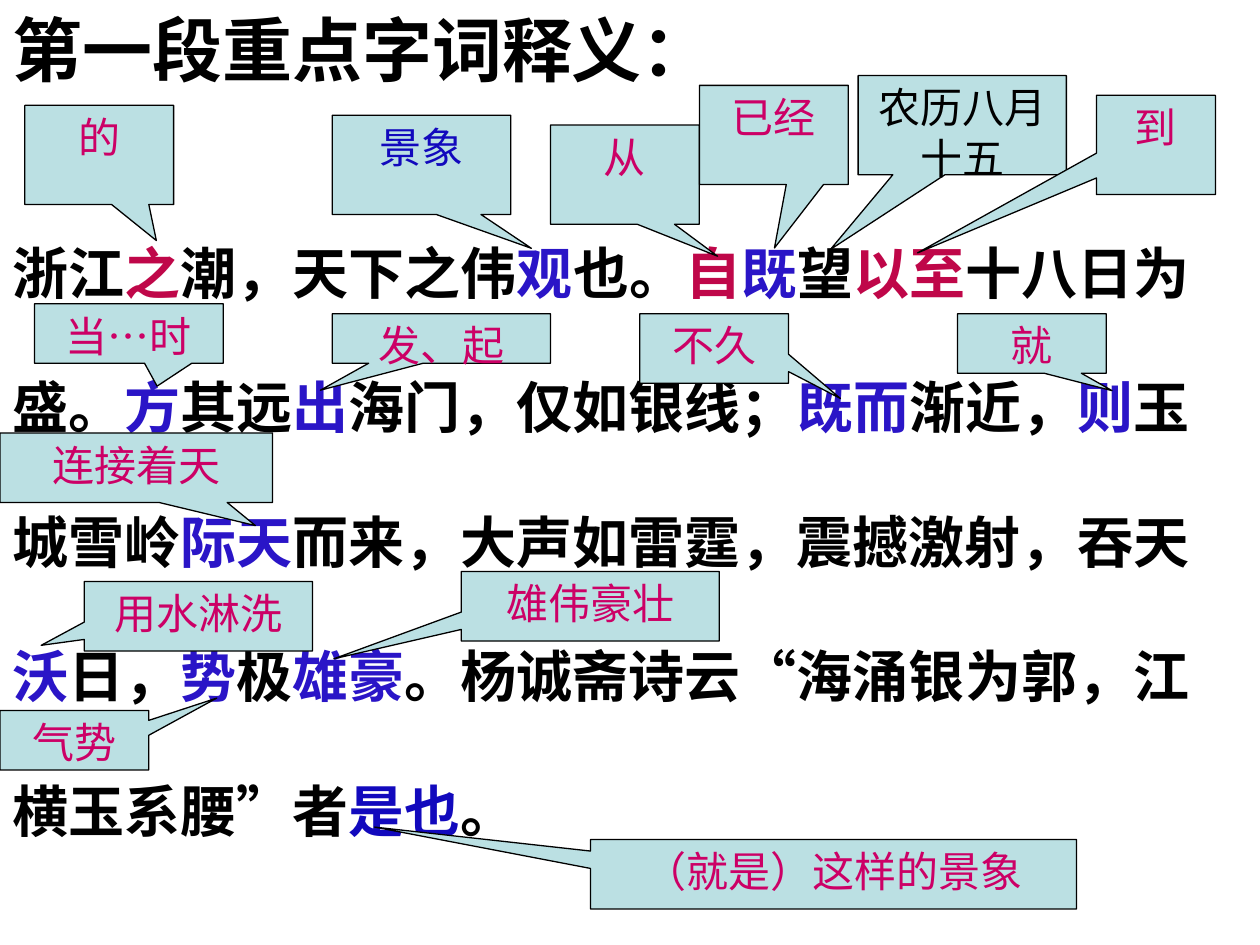
import pptx
import pptx.util
import pptx.dml.color
import pptx.enum.lang
import pptx.enum.shapes
import pptx.enum.text

Pt = pptx.util.Pt
RGB = pptx.dml.color.RGBColor
Align = pptx.enum.text.PP_ALIGN
Fit = pptx.enum.text.MSO_AUTO_SIZE

BLACK = RGB(0x00, 0x00, 0x00)
RED = RGB(0xBF, 0x07, 0x49)
BLUE = RGB(0x2A, 0x15, 0xC7)
NAVY = RGB(0x12, 0x09, 0xBD)
PINK = RGB(0xCC, 0x00, 0x66)
PALE = RGB(0xBB, 0xE0, 0xE3)
SERIF, SANS = "Times New Roman", "Arial"

TITLE = "第一段重点字词释义："
VERSE = [
    [("浙江", BLACK), ("之", RED), ("潮，天下之伟", BLACK), ("观", BLUE),
     ("也。", BLACK), ("自", RED), ("既", BLUE), ("望", BLACK),
     ("以至", RED), ("十八日为", BLACK)],
    [("盛。", BLACK), ("方", BLUE), ("其远", BLACK), ("出", BLUE),
     ("海门，仅如银线；", BLACK), ("既而", BLUE), ("渐近，", BLACK),
     ("则", BLUE), ("玉", BLACK)],
    [("城雪岭", BLACK), ("际天", BLUE),
     ("而来，大声如雷霆，震撼激射，吞天", BLACK)],
    [("沃", BLUE), ("日，", BLACK), ("势", BLUE), ("极", BLACK),
     ("雄豪", BLUE), ("。杨诚斋诗云“海涌银为郭，江", BLACK)],
    [("横玉系腰”者", BLACK), ("是也", NAVY), ("。", BLACK)],
]
# lines of the gloss, colour, (left, top, width, height), tip offset from centre
GLOSSES = [
    (["的"], PINK, (14.2, 60.2, 85, 56.7), (0.384, 0.863)),
    (["景象"], NAVY, (189.9, 65.9, 102, 56.7), (0.616, 0.841)),
    (["从"], PINK, (314.6, 71.5, 85, 56.7), (0.623, 0.822)),
    (["农历八月", "十五"], BLACK, (490.4, 43.2, 119, 56.7), (-0.633, 1.253)),
    (["已经"], PINK, (399.7, 48.8, 85, 56.7), (0.004, 1.139)),
    (["到"], PINK, (626.5, 54.5, 68, 56.7), (-2.003, 1.088)),
    (["（就是）这样的景象"], PINK, (337.4, 479.7, 277.8, 39.7), (-0.944, -0.679)),
    (["雄伟豪壮"], PINK, (263.6, 326.6, 147.4, 39.7), (-0.994, 0.755)),
    (["气势"], PINK, (0, 406, 85, 34), (0.957, -0.709)),
    (["不久"], PINK, (365.6, 179.3, 85, 39.7), (0.849, 0.72)),
    (["发、起"], PINK, (189.9, 179.3, 124.7, 28.3), (-0.555, 1.046)),
    (["当…时"], PINK, (19.7, 173.6, 107.9, 34), (0.15, 0.885)),
    (["就"], PINK, (547.1, 179.3, 85, 34), (0.54, 0.793)),
    (["连接着天"], PINK, (0, 247.4, 155.8, 39.7), (0.437, 0.833)),
    (["用水淋洗"], PINK, (48.2, 332.3, 130.4, 39.7), (-0.689, 0.418)),
]
GAP = 38.4


def write(shape, rows, face, size, bold, align, gap=0):
    """Fill the shape with one paragraph per row of (text, colour) runs."""
    frame = shape.text_frame
    frame.word_wrap = True
    frame.vertical_anchor = pptx.enum.text.MSO_ANCHOR.TOP
    for i, row in enumerate(rows):
        para = frame.add_paragraph() if i else frame.paragraphs[0]
        para.alignment = align
        if gap and i:
            para.space_before = Pt(gap)
        for text, color in row:
            run = para.add_run()
            run.text = text
            font = run.font
            font.name, font.size, font.bold = face, Pt(size), bold
            font.color.rgb = color
            font.language_id = pptx.enum.lang.MSO_LANGUAGE_ID.SIMPLIFIED_CHINESE
    return frame


def main():
    deck = pptx.Presentation()
    deck.slide_width, deck.slide_height = Pt(720), Pt(540)
    slide = deck.slides.add_slide(deck.slide_layouts[5])
    shapes = slide.shapes

    title = shapes.title
    title.left, title.top, title.width, title.height = map(Pt, (0, 0, 450, 55.4))
    frame = write(title, [[(TITLE, BLACK)]], SANS, 40, True, Align.LEFT)
    frame.auto_size = Fit.SHAPE_TO_FIT_TEXT

    verse = shapes.add_textbox(*map(Pt, (0, 94.3, 700.6, 391.7)))
    frame = write(verse, VERSE, SERIF, 32, True, Align.LEFT, GAP)
    frame.margin_top = Pt(3.6 + GAP)
    frame.auto_size = Fit.SHAPE_TO_FIT_TEXT

    kind = pptx.enum.shapes.MSO_SHAPE.RECTANGULAR_CALLOUT
    for lines, color, box, tip in GLOSSES:
        note = shapes.add_shape(kind, *map(Pt, box))
        note.adjustments[0], note.adjustments[1] = tip
        note.shadow.inherit = False
        note.fill.solid()
        note.fill.fore_color.rgb = PALE
        note.line.color.rgb = BLACK
        note.line.width = Pt(0.75)
        rows = [[(line, color)] for line in lines]
        write(note, rows, SERIF, 24, False, Align.CENTER)

    deck.save("out.pptx")


if __name__ == "__main__":
    main()
